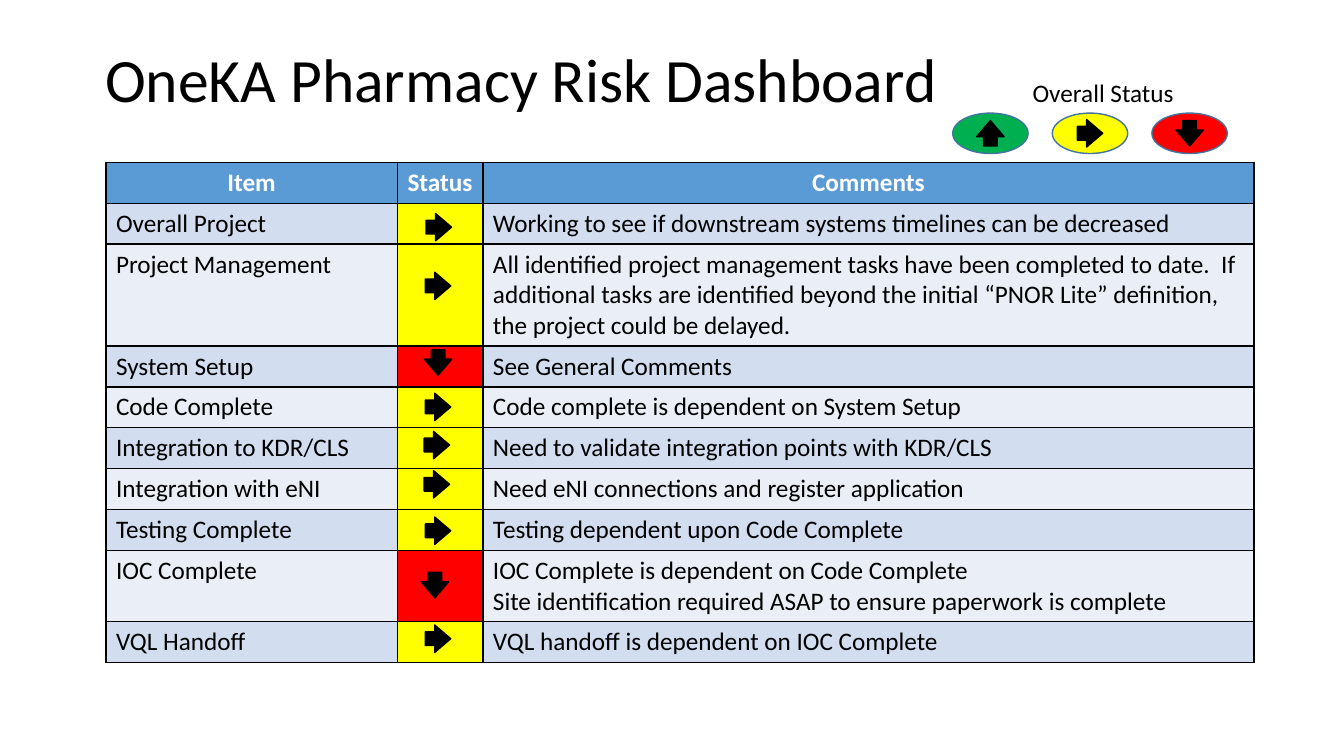
from dataclasses import dataclass

from lxml import etree
from pptx import Presentation
from pptx import util as u
from pptx.dml.color import RGBColor
from pptx.enum import shapes, text
from pptx.oxml import ns


@dataclass(frozen=True)
class Theme:
    font: str = "Calibri"
    title_size: int = 44
    body_size: int = 18
    ink: str = "000000"
    header_ink: str = "FFFFFF"
    header_fill: str = "5B9BD5"
    bands: tuple = ("D2DEEF", "EAEFF7")
    oval_line: str = "43739E"
    border: str = "000000"


THEME = Theme()

# Each status has a signal colour and the rotation of its arrow
STATUSES = {"up": ("00B050", 270), "steady": ("FFFF00", 0), "down": ("FF0000", 90)}

HEADERS = ("Item", "Status", "Comments")
COLUMN_WIDTHS = (7.34, 2.16, 19.43)
ROW_HEIGHTS = {1: 1.03, 2: 1.79, 3: 2.57}  # by number of text lines
TABLE_LEFT, TABLE_TOP = 2.67, 4.09
ARROW_WIDTH, ARROW_HEIGHT = 0.64, 0.69
OVAL_WIDTH, OVAL_HEIGHT = 1.9, 1.02

# Item, status, comment, text lines, left and top of the status arrow in cm
RISKS = (
    ("Overall Project", "steady",
     "Working to see if downstream systems timelines can be decreased", 1, 10.74, 5.38),
    ("Project Management", "steady",
     "All identified project management tasks have been completed to date.  "
     "If additional tasks are identified beyond the initial “PNOR Lite” definition, "
     "the project could be delayed.", 3, 10.72, 6.86),
    ("System Setup", "down", "See General Comments", 1, 10.72, 8.79),
    ("Code Complete", "steady", "Code complete is dependent on System Setup", 1, 10.72, 9.91),
    ("Integration to KDR/CLS", "steady",
     "Need to validate integration points with KDR/CLS", 1, 10.69, 10.87),
    ("Integration with eNI", "steady",
     "Need eNI connections and register application", 1, 10.69, 11.86),
    ("Testing Complete", "steady", "Testing dependent upon Code Complete", 1, 10.72, 13.03),
    ("IOC Complete", "down",
     "IOC Complete is dependent on Code Complete\n"
     "Site identification required ASAP to ensure paperwork is complete", 2, 10.64, 14.4),
    ("VQL Handoff", "steady", "VQL handoff is dependent on IOC Complete", 1, 10.72, 15.75),
)


def rgb(colour):
    return RGBColor.from_string(colour)


def write(frame, words, size, colour=THEME.ink, align=text.PP_ALIGN.LEFT, bold=False):
    frame.text = words
    for paragraph in frame.paragraphs:
        paragraph.alignment = align
        for run in paragraph.runs:
            font = run.font
            font.name, font.size, font.bold = THEME.font, u.Pt(size), bold
            font.color.rgb = rgb(colour)


def add_label(slide, box, words, size, **style):
    label = slide.shapes.add_textbox(*map(u.Cm, box)).text_frame
    label.word_wrap = True
    write(label, words, size, **style)
    return label


def add_solid(canvas, preset, box, fill, line):
    solid = canvas.add_shape(preset, *map(u.Cm, box))
    solid.shadow.inherit = False
    solid.fill.solid()
    solid.fill.fore_color.rgb = rgb(fill)
    solid.line.color.rgb = rgb(line)
    solid.line.width = u.Pt(1)
    return solid


def add_status_arrow(canvas, status, left, top):
    arrow = add_solid(canvas, shapes.MSO_SHAPE.RIGHT_ARROW,
                      (left, top, ARROW_WIDTH, ARROW_HEIGHT), THEME.ink, THEME.ink)
    arrow.adjustments[0], arrow.adjustments[1] = 0.5, 0.63
    arrow.rotation = STATUSES[status][1]


def add_legend(slide, left, top, step):
    legend = slide.shapes.add_group_shape().shapes
    for index, (status, (signal, _)) in enumerate(STATUSES.items()):
        x = left + index * step
        add_solid(legend, shapes.MSO_SHAPE.OVAL, (x, top, OVAL_WIDTH, OVAL_HEIGHT),
                  signal, THEME.oval_line)
        add_status_arrow(legend, status, x + (OVAL_WIDTH - ARROW_WIDTH) / 2,
                         top + (OVAL_HEIGHT - ARROW_HEIGHT) / 2)


def paint_cell(cell, fill):
    """Draw the four borders, then the fill, as the schema orders them."""
    properties = cell._tc.get_or_add_tcPr()
    for side in ("a:lnL", "a:lnR", "a:lnT", "a:lnB"):
        border = etree.SubElement(properties, ns.qn(side), w=str(u.Pt(1)))
        paint = etree.SubElement(border, ns.qn("a:solidFill"))
        etree.SubElement(paint, ns.qn("a:srgbClr"), val=THEME.border)
    cell.fill.solid()
    cell.fill.fore_color.rgb = rgb(fill)


def add_risk_table(slide):
    heights = [ROW_HEIGHTS[1]] + [ROW_HEIGHTS[risk[3]] for risk in RISKS]
    table = slide.shapes.add_table(
        len(heights), len(HEADERS), u.Cm(TABLE_LEFT), u.Cm(TABLE_TOP),
        u.Cm(sum(COLUMN_WIDTHS)), u.Cm(sum(heights))).table
    for column, width in zip(table.columns, COLUMN_WIDTHS):
        column.width = u.Cm(width)
    for row, height in zip(table.rows, heights):
        row.height = u.Cm(height)

    for column, header in enumerate(HEADERS):
        cell = table.cell(0, column)
        paint_cell(cell, THEME.header_fill)
        write(cell.text_frame, header, THEME.body_size, THEME.header_ink,
              text.PP_ALIGN.CENTER, bold=True)

    for index, (item, status, comment, *_) in enumerate(RISKS):
        band = THEME.bands[index % 2]
        fills = (band, STATUSES[status][0], band)
        for column, (words, fill) in enumerate(zip((item, "", comment), fills)):
            cell = table.cell(index + 1, column)
            paint_cell(cell, fill)
            write(cell.text_frame, words, THEME.body_size)


def main():
    deck = Presentation()
    deck.slide_width, deck.slide_height = u.Cm(33.87), u.Cm(19.05)
    slide = deck.slides.add_slide(deck.slide_layouts[6])

    title = add_label(slide, (2.4, 0.25, 29.21, 3.68), "OneKA Pharmacy Risk Dashboard",
                      THEME.title_size)
    title.vertical_anchor = text.MSO_ANCHOR.MIDDLE
    title.paragraphs[0].line_spacing = 0.9

    add_risk_table(slide)
    add_legend(slide, left=24.01, top=2.85, step=2.51)
    add_label(slide, (24.64, 1.83, 6.32, 1.03), "Overall Status", THEME.body_size,
              align=text.PP_ALIGN.CENTER)
    for _, status, _, _, left, top in RISKS:
        add_status_arrow(slide.shapes, status, left, top)

    deck.save("out.pptx")


if __name__ == "__main__":
    main()
